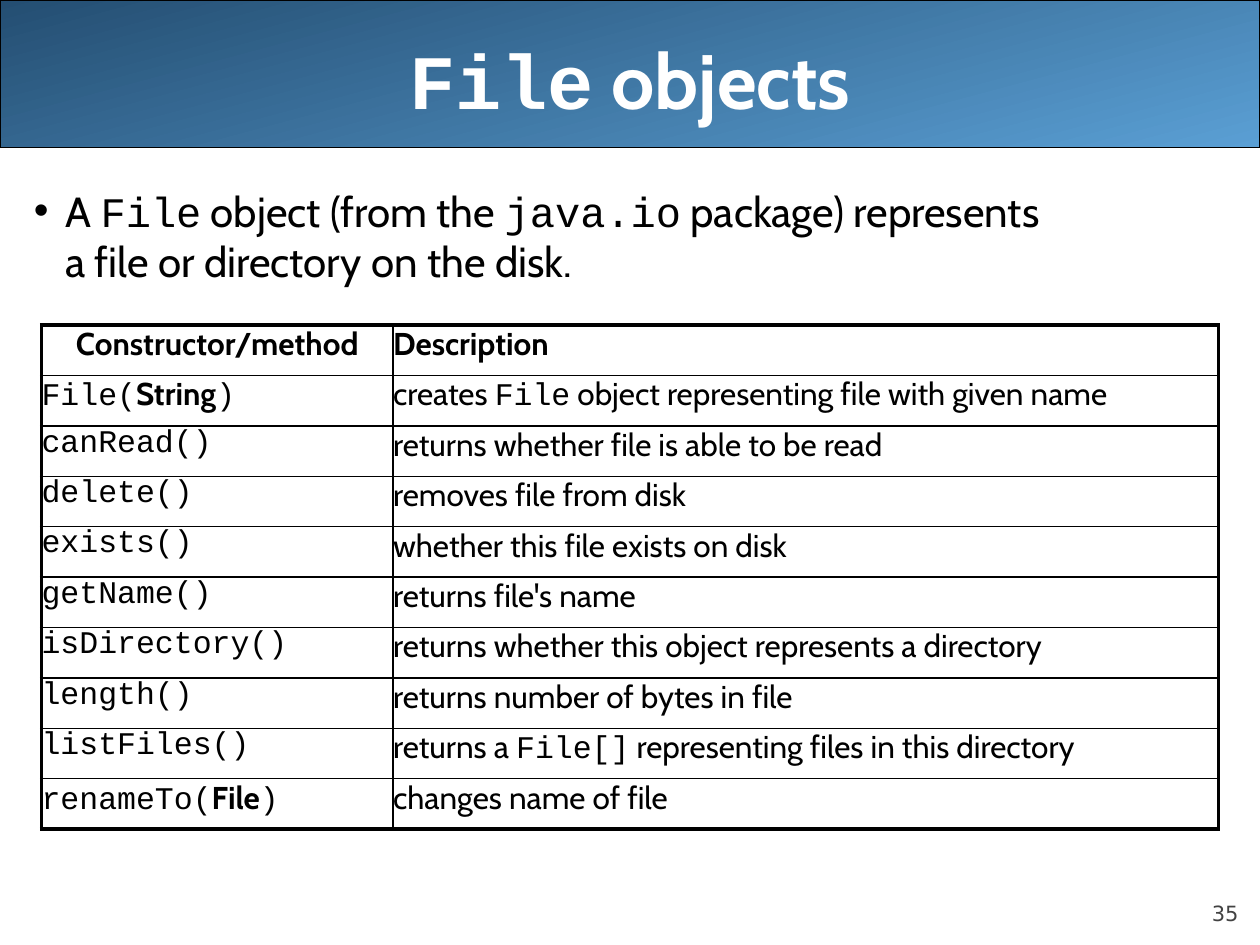
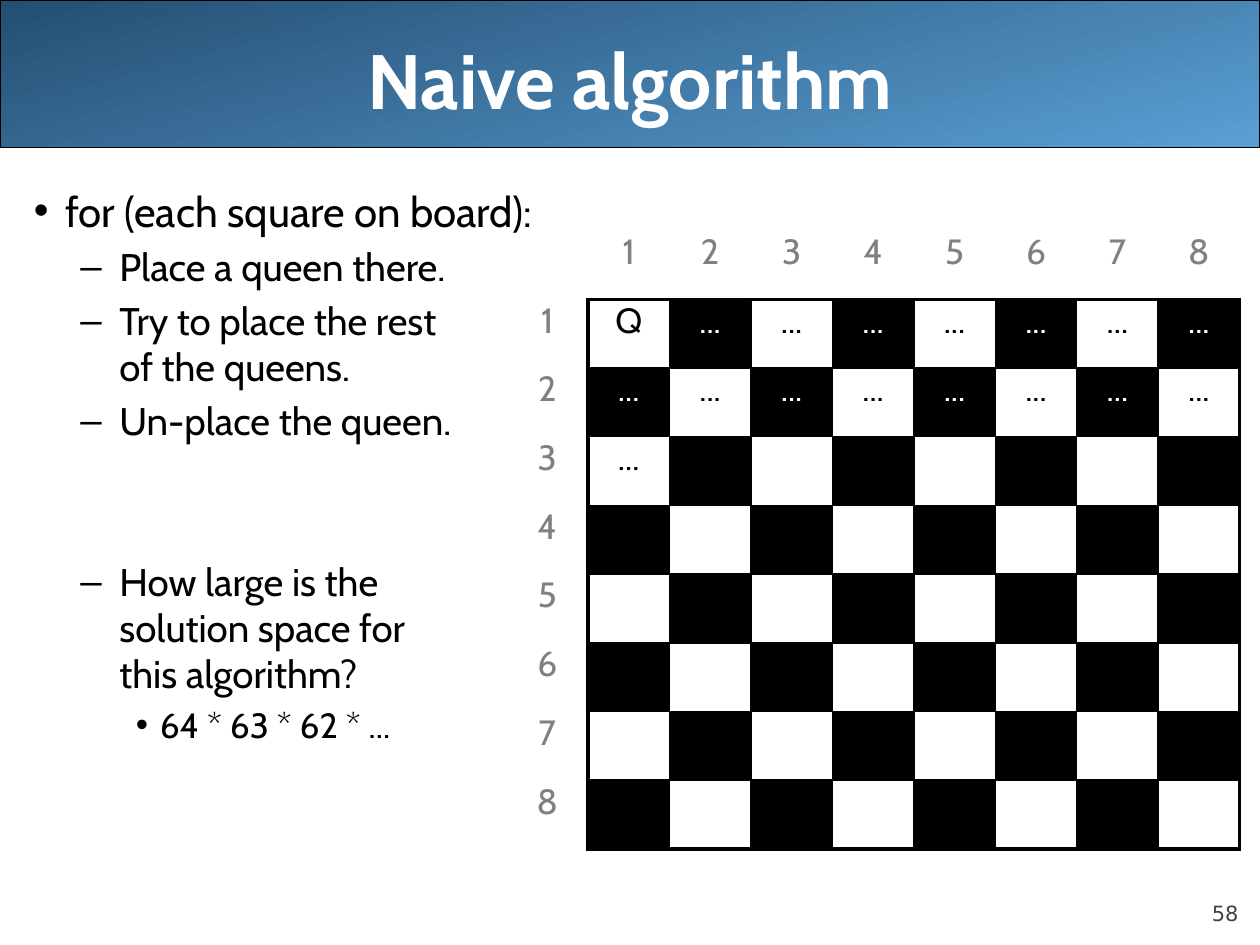
from lxml.etree import SubElement
from pptx import Presentation
from pptx.dml.color import RGBColor
from pptx.enum.shapes import MSO_SHAPE
from pptx.enum.text import MSO_ANCHOR, MSO_AUTO_SIZE, PP_ALIGN
from pptx.oxml import parse_xml
from pptx.oxml.ns import nsdecls, qn
from pptx.util import Inches, Pt

BLACK = RGBColor(0x00, 0x00, 0x00)
WHITE = RGBColor(0xFF, 0xFF, 0xFF)
GREY = RGBColor(0x80, 0x80, 0x80)
PAGE_GREY = RGBColor(0x42, 0x42, 0x42)
BAND_DARK = RGBColor(0x24, 0x4E, 0x72)
BAND_LIGHT = RGBColor(0x5A, 0x9F, 0xD4)

SANS, MONO, PAGE_FONT = "Cabin", "Courier New", "DejaVu Sans"
THICK, THIN, NONE = 2.25, 1, 0

# Boxes: left, top, width, height in inches
BAND_BOX = (0, 0, 10, 1.17)
TITLE_BOX = (0.5, 0, 9, 1.25)
BODY_BOX = (0.17, 1.42, 9.83, 5.67)
PAGE_BOX = (9, 6.95, 0.83, 0.4)

# Per level: bullet, left margin, hanging indent, text size, space before
LEVELS = [("•", 0.25, 0.25, 24, 0), ("–", 0.68, 0.31, 22, 4.4), ("•", 1, 0.19, 20, 4)]

METHODS = [
    ("|Constructor/method|", "|Description|"),
    ("`File(`|String|`)`", "creates `File` object representing file with given name"),
    ("`canRead()`", "returns whether file is able to be read"),
    ("`delete()`", "removes file from disk"),
    ("`exists()`", "whether this file exists on disk"),
    ("`getName()`", "returns file's name"),
    ("`isDirectory()`", "returns whether this object represents a directory"),
    ("`length()`", "returns number of bytes in file"),
    ("`listFiles()`", "returns a `File[]` representing files in this directory"),
    ("`renameTo(`|File|`)`", "changes name of file"),
]


def inches(box):
    return [Inches(v) for v in box]


def write(p, text, size=18, color=BLACK, font=SANS, bold=False, align=PP_ALIGN.LEFT):
    """Write text into a paragraph; `code` is monospaced and |text| is bold."""
    p.alignment = align
    for i, part in enumerate(text.split("`")):
        for j, piece in enumerate(part.split("|")):
            for k, line in enumerate(piece.split("\n")):
                if k:
                    p.add_line_break()
                if line:
                    r = p.add_run()
                    r.text = line
                    r.font.size = Pt(size)
                    r.font.name = MONO if i % 2 else font
                    r.font.bold = bold or j % 2 == 1
                    r.font.color.rgb = color


def format_frame(tf, anchor=MSO_ANCHOR.TOP, margins=(0.1, 0.05)):
    tf.word_wrap = True
    tf.auto_size = MSO_AUTO_SIZE.NONE
    tf.vertical_anchor = anchor
    tf.margin_left = tf.margin_right = Inches(margins[0])
    tf.margin_top = tf.margin_bottom = Inches(margins[1])


def add_band(s, box):
    band = s.shapes.add_shape(MSO_SHAPE.ROUNDED_RECTANGLE, *inches(box))
    band.adjustments[0] = 0
    band.shadow.inherit = False
    band.fill.gradient()
    band.fill.gradient_angle = 285
    for stop, color, position in zip(band.fill.gradient_stops, (BAND_DARK, BAND_LIGHT), (0, 1)):
        stop.color.rgb = color
        stop.position = position
    band.line.color.rgb = BLACK
    band.line.width = Pt(0.75)
    s.shapes.title.element.addprevious(band.element)


def add_page_number(s, box, number):
    tf = s.shapes.add_textbox(*inches(box)).text_frame
    format_frame(tf, MSO_ANCHOR.BOTTOM, (0, 0))
    write(tf.paragraphs[0], number, size=12, color=PAGE_GREY, font=PAGE_FONT,
          align=PP_ALIGN.RIGHT)


def add_titled_slide(prs, title, number):
    s = prs.slides.add_slide(prs.slide_layouts[5])
    add_band(s, BAND_BOX)
    add_page_number(s, PAGE_BOX, number)
    sp = s.shapes.title
    sp.left, sp.top, sp.width, sp.height = inches(TITLE_BOX)
    format_frame(sp.text_frame, MSO_ANCHOR.MIDDLE)
    write(sp.text_frame.paragraphs[0], title, size=44, color=WHITE, bold=True,
          align=PP_ALIGN.CENTER)
    return s


def add_bullets(s, box, items):
    """Items are (level, text) with an optional space before in points."""
    tf = s.shapes.add_textbox(*inches(box)).text_frame
    format_frame(tf)
    for i, (level, text, *space) in enumerate(items):
        p = tf.add_paragraph() if i else tf.paragraphs[0]
        char, margin, hang, size, before = LEVELS[level]
        p.level = level
        p.space_before = Pt(space[0] if space else before)
        write(p, text, size=size)
        pPr = p._p.get_or_add_pPr()
        pPr.set("marL", str(Inches(margin)))
        pPr.set("indent", str(-Inches(hang)))
        SubElement(SubElement(pPr, qn("a:buClr")), qn("a:srgbClr")).set("val", str(BLACK))
        SubElement(pPr, qn("a:buFont")).set("typeface", "Arial")
        SubElement(pPr, qn("a:buChar")).set("char", char)


def set_borders(cell, widths):
    """Draw the left, right, top and bottom borders; zero width means no line."""
    tcPr = cell._tc.get_or_add_tcPr()
    for i, (side, width) in enumerate(zip("LRTB", widths)):
        paint = f'<a:solidFill><a:srgbClr val="{BLACK}"/></a:solidFill>' if width else "<a:noFill/>"
        tcPr.insert(i, parse_xml(f'<a:ln{side} {nsdecls("a")} w="{Pt(width)}">{paint}</a:ln{side}>'))


def framed(row, col, rows, cols):
    """Border widths of a cell in a thin grid with a thick frame."""
    on_edge = (col == 0, col == cols - 1, row == 0, row == rows - 1)
    return [THICK if edge else THIN for edge in on_edge]


def add_plain_table(s, box, rows, cols):
    table = s.shapes.add_table(rows, cols, *inches(box)).table
    table.first_row = table.horz_banding = False
    for cell in table.iter_cells():
        cell.margin_left = cell.margin_right = cell.margin_top = cell.margin_bottom = 0
        cell.fill.background()
    return table


def add_method_table(s, box, entries, first_width):
    rows = len(entries)
    table = add_plain_table(s, box, rows, 2)
    table.columns[0].width = Inches(first_width)
    table.columns[1].width = Inches(box[2] - first_width)
    for row, entry in enumerate(entries):
        for col, text in enumerate(entry):
            cell = table.cell(row, col)
            cell.fill.solid()
            cell.fill.fore_color.rgb = WHITE
            set_borders(cell, framed(row, col, rows, 2))
            centred = row == col == 0
            write(cell.text_frame.paragraphs[0], text,
                  align=PP_ALIGN.CENTER if centred else PP_ALIGN.LEFT)


def add_chessboard(s, box, moves, n=8):
    """An n by n board with numbered rows and columns; moves fill it row by row."""
    table = add_plain_table(s, box, n + 1, n + 1)
    for row in range(n + 1):
        for col in range(n + 1):
            cell = table.cell(row, col)
            text, color = "", GREY
            if row and col:
                index = (row - 1) * n + col - 1
                text = moves[index] if index < len(moves) else ""
                dark = (row + col) % 2 == 1
                color = WHITE if dark else BLACK
                if dark:
                    cell.fill.solid()
                    cell.fill.fore_color.rgb = BLACK
                borders = framed(row - 1, col - 1, n, n)
            else:
                # Number labels touch the frame of the board
                text = str(row + col) if row + col else ""
                borders = (NONE, THICK if row else NONE, NONE, THICK if col else NONE)
            set_borders(cell, borders)
            write(cell.text_frame.paragraphs[0], text, size=20, color=color,
                  align=PP_ALIGN.CENTER)


def build_file_slide(prs):
    s = add_titled_slide(prs, "`File` objects", "35")
    add_bullets(s, BODY_BOX, [
        (0, "A `File` object (from the `java.io` package) represents\n"
            "a file or directory on the disk."),
    ])
    add_method_table(s, (0.33, 2.58, 9.34, 4), METHODS, first_width=2.79)


def build_queens_slide(prs):
    s = add_titled_slide(prs, "Naive algorithm", "58")
    add_bullets(s, BODY_BOX, [
        (0, "for (each square on board):"),
        (1, "Place a queen there."),
        (1, "Try to place the rest\nof the queens."),
        (1, "Un-place the queen."),
        (1, "How large is the\nsolution space for\nthis algorithm?", 65.6),
        (2, "64 * 63 * 62 * ..."),
    ])
    add_chessboard(s, (4.02, 1.83, 5.82, 4.91), ["Q"] + ["..."] * 16)


def main():
    prs = Presentation()
    prs.slide_width, prs.slide_height = Inches(10), Inches(7.5)
    build_file_slide(prs)
    build_queens_slide(prs)
    prs.save("out.pptx")


if __name__ == "__main__":
    main()
